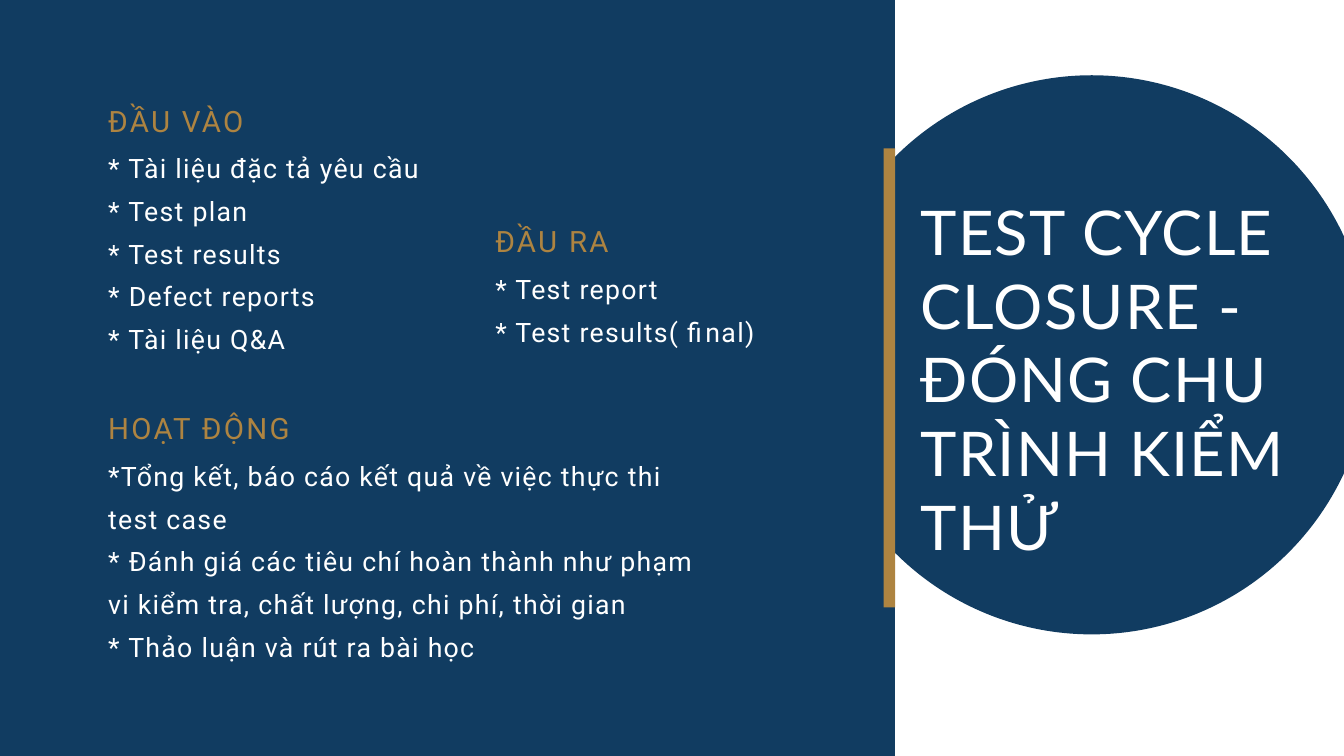
from dataclasses import dataclass

from pptx import Presentation
from pptx.dml.color import RGBColor
from pptx.enum.shapes import MSO_SHAPE
from pptx.enum.text import MSO_ANCHOR, MSO_AUTO_SIZE, PP_ALIGN
from pptx.util import Inches, Pt


@dataclass(frozen=True)
class TextStyle:
    """Type settings for one kind of text; spacing is in hundredths of a point."""
    name: str
    size: float
    color: RGBColor
    line: float
    spacing: int


@dataclass(frozen=True)
class Theme:
    """Colours and type styles of the slide."""
    navy = RGBColor(0x11, 0x3C, 0x61)
    gold = RGBColor(0xAE, 0x84, 0x41)
    white = RGBColor(0xFF, 0xFF, 0xFF)
    heading = TextStyle("Roboto", 31.5, gold, 52, 250)
    body = TextStyle("Roboto", 28.6, white, 45.8, 140)
    title = TextStyle("Lato", 66, white, 79.2, 130)


THEME = Theme()

SECTIONS = [
    ((1.61, 1.33, 8.88, 3.89), "ĐẦU VÀO", [
        "* Tài liệu đặc tả yêu cầu",
        "* Test plan",
        "* Test results",
        "* Defect reports",
        "* Tài liệu Q&A",
    ]),
    ((1.61, 5.91, 8.88, 3.88), "HOẠT ĐỘNG", [
        "*Tổng kết, báo cáo kết quả về việc thực thi test case",
        "* Đánh giá các tiêu chí hoàn thành như phạm vi kiểm tra, "
        "chất lượng, chi phí, thời gian",
        "* Thảo luận và rút ra bài học",
    ]),
    ((7.37, 3.13, 8.88, 1.97), "ĐẦU RA", [
        "* Test report",
        "* Test results( final)",
    ]),
]
TITLE = "TEST CYCLE CLOSURE - ĐÓNG CHU TRÌNH KIỂM THỬ"


def set_attributes(target, values):
    """Set each named attribute of the target."""
    for name, value in values.items():
        setattr(target, name, value)


def place(shape, box):
    """Move and size a shape to a box given in inches."""
    set_attributes(shape, dict(zip(("left", "top", "width", "height"), map(Inches, box))))


def write_text(shape, lines, style):
    """Fill a text shape with one styled paragraph per line."""
    frame = shape.text_frame
    set_attributes(frame, {
        "text": "\n".join(lines), "word_wrap": True,
        "auto_size": MSO_AUTO_SIZE.SHAPE_TO_FIT_TEXT,
        "vertical_anchor": MSO_ANCHOR.TOP,
        "margin_left": 0, "margin_top": 0, "margin_right": 0, "margin_bottom": 0,
    })
    for paragraph in frame.paragraphs:
        set_attributes(paragraph, {
            "alignment": PP_ALIGN.LEFT, "line_spacing": Pt(style.line),
            "space_before": Pt(0), "space_after": Pt(0),
        })
        for run in paragraph.runs:
            set_attributes(run.font, {"name": style.name, "size": Pt(style.size)})
            run.font.color.rgb = style.color
            run.font._element.set("spc", str(style.spacing))


def add_filled_shape(slide, kind, box, color):
    """Add a plain shape with a solid fill and no outline."""
    shape = slide.shapes.add_shape(kind, *map(Inches, box))
    shape.shadow.inherit = False
    shape.fill.solid()
    shape.fill.fore_color.rgb = color
    shape.line.fill.background()


def add_section(slide, box, heading, items):
    """Add a heading with its list of lines below it."""
    left, top, width, height = box
    heading_height, body_offset = 0.65, 0.77
    parts = [
        ((left, top, width, heading_height), [heading], THEME.heading),
        ((left, top + body_offset, width, height - body_offset), items, THEME.body),
    ]
    for part_box, lines, style in parts:
        text_box = slide.shapes.add_textbox(*map(Inches, part_box))
        write_text(text_box, lines, style)


def add_title_panel(slide, box):
    """Add the white panel, its disc, the slide title and the gold bar."""
    left, top, width, height = box
    add_filled_shape(slide, MSO_SHAPE.RECTANGLE, box, THEME.white)
    disc = (left - 1.22, top + 1.6, 8.29, 8.32)
    add_filled_shape(slide, MSO_SHAPE.OVAL, disc, THEME.navy)
    title = slide.shapes.title
    place(title, (left + 0.38, top + 3.36, 7.01, 6.57))
    write_text(title, [TITLE], THEME.title)
    slide.shapes._spTree.append(title._element)
    bar_width = 0.17
    bar = (left - bar_width, top + 2.69, bar_width, 6.83)
    add_filled_shape(slide, MSO_SHAPE.RECTANGLE, bar, THEME.gold)


def main():
    """Build and save the presentation."""
    presentation = Presentation()
    set_attributes(presentation, {"slide_width": Inches(20), "slide_height": Inches(11.25)})
    slide = presentation.slides.add_slide(presentation.slide_layouts.get_by_name("Title Only"))
    slide.background.fill.solid()
    slide.background.fill.fore_color.rgb = THEME.navy
    add_title_panel(slide, (13.32, -0.48, 7.78, 11.84))
    for box, heading, items in SECTIONS:
        add_section(slide, box, heading, items)
    presentation.save("out.pptx")


if __name__ == "__main__":
    main()
